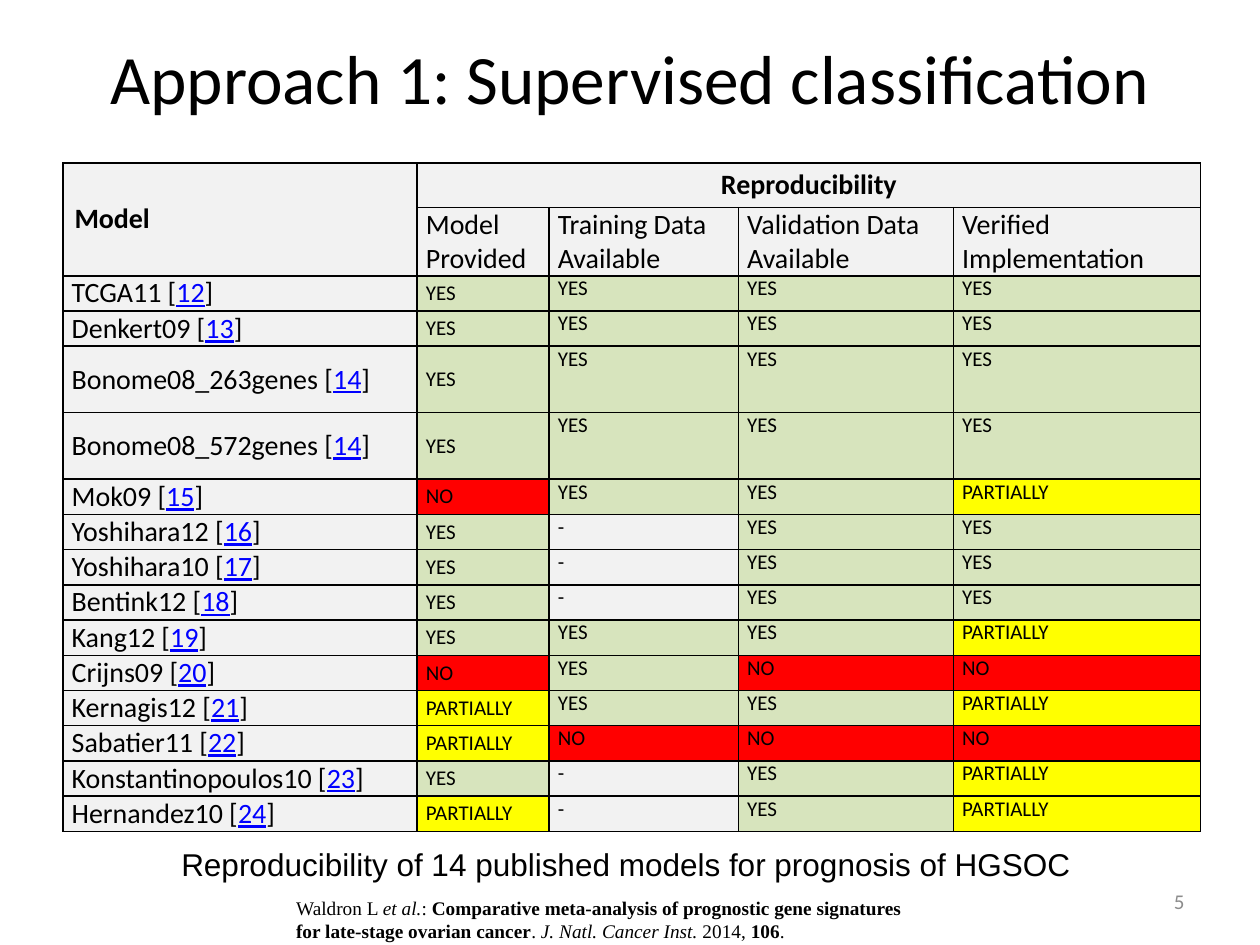
from dataclasses import dataclass

from lxml import etree
from pptx import Presentation
from pptx.dml.color import RGBColor
from pptx.enum.text import MSO_ANCHOR, PP_ALIGN
from pptx.oxml.ns import qn
from pptx.util import Pt

TOP, MIDDLE = MSO_ANCHOR.TOP, MSO_ANCHOR.MIDDLE
LEFT, CENTER, RIGHT = PP_ALIGN.LEFT, PP_ALIGN.CENTER, PP_ALIGN.RIGHT


@dataclass(frozen=True)
class Theme:
    font: str = "Calibri"
    caption_font: str = "Arial"
    citation_font: str = "Times New Roman"
    title_size: float = 39.6
    caption_size: float = 18
    label_size: float = 16
    rating_size: float = 12
    citation_size: float = 11
    text: str = "000000"
    muted: str = "8C8C8C"
    reference: str = "0000FF"
    neutral: str = "F2F2F2"
    yes: str = "D7E4BD"
    no: str = "FF0000"
    partially: str = "FFFF00"


THEME = Theme()
RATINGS = {
    "Y": ("YES", THEME.yes),
    "N": ("NO", THEME.no),
    "P": ("PARTIALLY", THEME.partially),
    "-": ("-", THEME.neutral),
}
CRITERIA = ["Model\nProvided", "Training Data\nAvailable",
            "Validation Data\nAvailable", "Verified\nImplementation"]
# Model, reference number, one rating per criterion
MODELS = [
    ("TCGA11", 12, "YYYY"),
    ("Denkert09", 13, "YYYY"),
    ("Bonome08_263genes", 14, "YYYY"),
    ("Bonome08_572genes", 14, "YYYY"),
    ("Mok09", 15, "NYYP"),
    ("Yoshihara12", 16, "Y-YY"),
    ("Yoshihara10", 17, "Y-YY"),
    ("Bentink12", 18, "Y-YY"),
    ("Kang12", 19, "YYYP"),
    ("Crijns09", 20, "NYNN"),
    ("Kernagis12", 21, "PYYP"),
    ("Sabatier11", 22, "PNNN"),
    ("Konstantinopoulos10", 23, "Y-YP"),
    ("Hernandez10", 24, "P-YP"),
]
COLUMN_WIDTHS = [202.4, 75.4, 108.2, 122.9, 141.3]
HEADER_HEIGHTS = [25.6, 39]
ROW_HEIGHT, TALL_ROW_HEIGHT = 20.15, 38
# Text, bold, italic
CITATION = [
    ("Waldron L ", False, False),
    ("et al.", False, True),
    (": ", False, False),
    ("Comparative meta-analysis of prognostic gene signatures "
     "for late-stage ovarian cancer", True, False),
    (". ", False, False),
    ("J. Natl. Cancer Inst.", False, True),
    (" 2014, ", False, False),
    ("106", True, False),
    (".", False, False),
]


def style_paragraph(paragraph, size, font=THEME.font, color=THEME.text,
                    align=LEFT, bold=False):
    paragraph.alignment = align
    paragraph.font.name = font
    paragraph.font.size = Pt(size)
    paragraph.font.bold = bold
    paragraph.font.color.rgb = RGBColor.from_string(color)


def set_insets(target, horizontal, vertical):
    target.margin_left = target.margin_right = Pt(horizontal)
    target.margin_top = target.margin_bottom = Pt(vertical)


def add_text(slide, box, text, size, anchor=TOP, insets=(7.2, 3.6), **style):
    frame = slide.shapes.add_textbox(*map(Pt, box)).text_frame
    frame.word_wrap = True
    frame.vertical_anchor = anchor
    set_insets(frame, *insets)
    paragraph = frame.paragraphs[0]
    paragraph.text = text
    style_paragraph(paragraph, size, **style)
    return paragraph


def add_borders(cell):
    properties = cell._tc.get_or_add_tcPr()
    for side in ("lnL", "lnR", "lnT", "lnB"):
        line = etree.SubElement(properties, qn(f"a:{side}"), w=str(Pt(1)))
        fill = etree.SubElement(line, qn("a:solidFill"))
        etree.SubElement(fill, qn("a:srgbClr"), val=THEME.text)


def fill_cell(cell, text, fill, size, anchor=TOP, insets=(5, 0), **style):
    cell.fill.solid()
    cell.fill.fore_color.rgb = RGBColor.from_string(fill)
    cell.vertical_anchor = anchor
    set_insets(cell, *insets)
    cell.text_frame.text = text
    for paragraph in cell.text_frame.paragraphs:
        style_paragraph(paragraph, size, **style)


def add_reference(cell, number):
    paragraph = cell.text_frame.paragraphs[0]
    reference = paragraph.add_run()
    reference.text = str(number)
    reference.font.underline = True
    reference.font.color.rgb = RGBColor.from_string(THEME.reference)
    paragraph.add_run().text = "]"


def add_reproducibility_table(slide):
    heights = HEADER_HEIGHTS + [
        TALL_ROW_HEIGHT if model.startswith("Bonome") else ROW_HEIGHT
        for model, _, _ in MODELS]
    table = slide.shapes.add_table(
        len(heights), len(COLUMN_WIDTHS), Pt(36), Pt(93),
        Pt(sum(COLUMN_WIDTHS)), Pt(sum(heights))).table
    table.first_row = table.horz_banding = False
    for column, width in zip(table.columns, COLUMN_WIDTHS):
        column.width = Pt(width)
    for row, height in zip(table.rows, heights):
        row.height = Pt(height)
    for cell in table.iter_cells():
        add_borders(cell)
        fill_cell(cell, "", THEME.neutral, THEME.rating_size)

    # Header rows
    table.cell(0, 0).merge(table.cell(1, 0))
    table.cell(0, 1).merge(table.cell(0, 4))
    heading = dict(fill=THEME.neutral, size=THEME.label_size, bold=True,
                   insets=(6.6, 3))
    fill_cell(table.cell(0, 0), "Model", anchor=MIDDLE, **heading)
    fill_cell(table.cell(0, 1), "Reproducibility", align=CENTER, **heading)
    for column, criterion in enumerate(CRITERIA, start=1):
        fill_cell(table.cell(1, column), criterion, THEME.neutral,
                  THEME.label_size, MIDDLE if column == 1 else TOP)

    # Model rows
    for row, (model, number, ratings) in enumerate(MODELS, start=2):
        model_cell = table.cell(row, 0)
        fill_cell(model_cell, f"{model} [", THEME.neutral, THEME.label_size, MIDDLE)
        add_reference(model_cell, number)
        for column, code in enumerate(ratings, start=1):
            rating, color = RATINGS[code]
            fill_cell(table.cell(row, column), rating, color,
                      THEME.rating_size, MIDDLE if column == 1 else TOP)


def add_citation(slide):
    citation = add_text(slide, (169.2, 511.9, 361.4, 25.2), "",
                        THEME.citation_size, insets=(0, 0),
                        font=THEME.citation_font)
    for text, bold, italic in CITATION:
        run = citation.add_run()
        run.text = text
        run.font.bold = bold
        run.font.italic = italic


def main():
    presentation = Presentation()
    presentation.slide_width, presentation.slide_height = Pt(720), Pt(540)
    slide = presentation.slides.add_slide(presentation.slide_layouts[6])

    # Title and page number
    add_text(slide, (36, -1.4, 648, 90), "Approach 1: Supervised classification",
             THEME.title_size, MIDDLE, align=CENTER)
    add_text(slide, (516.2, 500.4, 167.8, 28.8), "5", THEME.rating_size,
             MIDDLE, color=THEME.muted, align=RIGHT)

    add_reproducibility_table(slide)

    # Caption and source below the table
    add_text(slide, (96.5, 479.5, 527, 29),
             "Reproducibility of 14 published models for prognosis of HGSOC",
             THEME.caption_size, font=THEME.caption_font)
    add_citation(slide)

    presentation.save("out.pptx")


if __name__ == "__main__":
    main()
